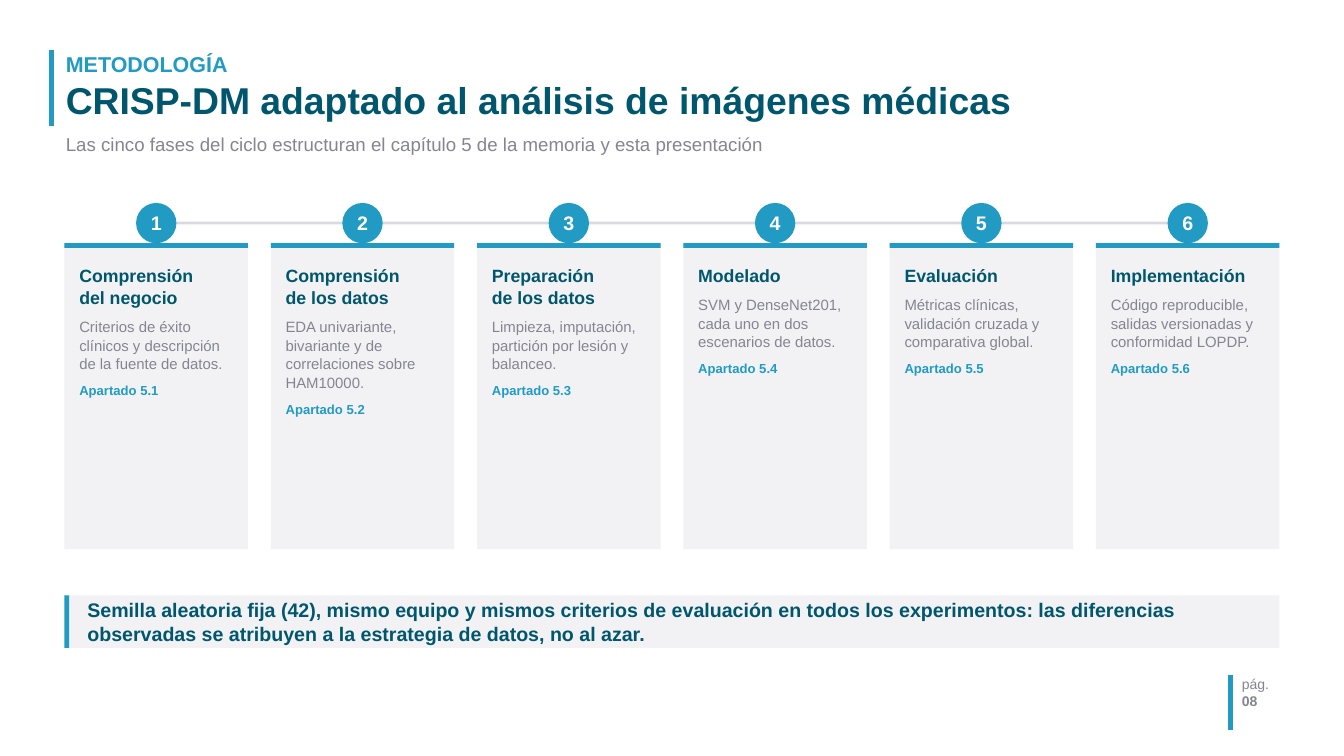
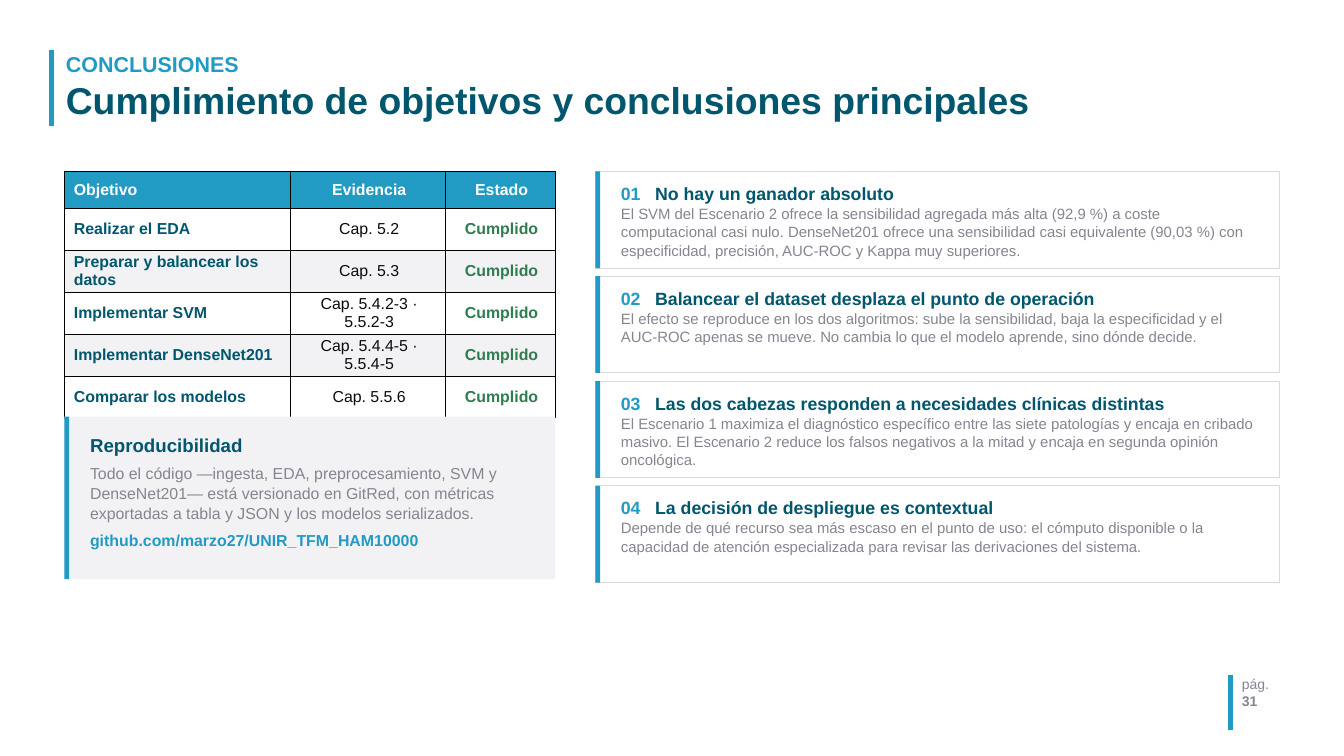
"""Build two thesis slides: the CRISP-DM phases and the conclusions."""
from lxml import etree
from pptx import Presentation
from pptx.dml.color import RGBColor
from pptx.enum.shapes import MSO_CONNECTOR, MSO_SHAPE
from pptx.enum.text import MSO_ANCHOR, MSO_AUTO_SIZE, PP_ALIGN
from pptx.oxml.ns import qn
from pptx.util import Inches, Pt

RECTANGLE, OVAL = MSO_SHAPE.RECTANGLE, MSO_SHAPE.OVAL
STRAIGHT = MSO_CONNECTOR.STRAIGHT
TOP, MIDDLE = MSO_ANCHOR.TOP, MSO_ANCHOR.MIDDLE
LEFT, CENTER = PP_ALIGN.LEFT, PP_ALIGN.CENTER
GROW = MSO_AUTO_SIZE.SHAPE_TO_FIT_TEXT

BLUE, TEAL, GRAY, PALE = "219BC3", "00566C", "858591", "F2F2F5"
RULE, WHITE, INK, GREEN, BLACK = "D9D9DE", "FFFFFF", "0C0B0B", "2E7D4F", "000000"
FONT = "Arial"
BAR = 0.07
MARGIN, CONTENT_WIDTH = 0.96, 18.08

PHASES = [
    ("Comprensión\ndel negocio",
     "Criterios de éxito clínicos y descripción de la fuente de datos."),
    ("Comprensión\nde los datos",
     "EDA univariante, bivariante y de correlaciones sobre HAM10000."),
    ("Preparación\nde los datos",
     "Limpieza, imputación, partición por lesión y balanceo."),
    ("Modelado", "SVM y DenseNet201, cada uno en dos escenarios de datos."),
    ("Evaluación", "Métricas clínicas, validación cruzada y comparativa global."),
    ("Implementación",
     "Código reproducible, salidas versionadas y conformidad LOPDP."),
]
SEED_NOTE = (
    "Semilla aleatoria fija (42), mismo equipo y mismos criterios de evaluación en "
    "todos los experimentos: las diferencias observadas se atribuyen a la estrategia "
    "de datos, no al azar.")
OBJECTIVES = [
    ("Objetivo", "Evidencia", "Estado"),
    ("Realizar el EDA", "Cap. 5.2", "Cumplido"),
    ("Preparar y balancear los datos", "Cap. 5.3", "Cumplido"),
    ("Implementar SVM", "Cap. 5.4.2-3 · 5.5.2-3", "Cumplido"),
    ("Implementar DenseNet201", "Cap. 5.4.4-5 · 5.5.4-5", "Cumplido"),
    ("Comparar los modelos", "Cap. 5.5.6", "Cumplido"),
]
REPRODUCIBILITY = (
    "Todo el código —ingesta, EDA, preprocesamiento, SVM y DenseNet201— está "
    "versionado en GitRed, con métricas exportadas a tabla y JSON y los modelos "
    "serializados.")
CONCLUSIONS = [
    ("No hay un ganador absoluto",
     "El SVM del Escenario 2 ofrece la sensibilidad agregada más alta (92,9 %) a coste "
     "computacional casi nulo. DenseNet201 ofrece una sensibilidad casi equivalente "
     "(90,03 %) con especificidad, precisión, AUC-ROC y Kappa muy superiores."),
    ("Balancear el dataset desplaza el punto de operación",
     "El efecto se reproduce en los dos algoritmos: sube la sensibilidad, baja la "
     "especificidad y el AUC-ROC apenas se mueve. No cambia lo que el modelo aprende, "
     "sino dónde decide."),
    ("Las dos cabezas responden a necesidades clínicas distintas",
     "El Escenario 1 maximiza el diagnóstico específico entre las siete patologías y "
     "encaja en cribado masivo. El Escenario 2 reduce los falsos negativos a la mitad y "
     "encaja en segunda opinión oncológica."),
    ("La decisión de despliegue es contextual",
     "Depende de qué recurso sea más escaso en el punto de uso: el cómputo disponible o "
     "la capacidad de atención especializada para revisar las derivaciones del sistema."),
]


def color(hex_value):
    """Turn a hex string into a colour."""
    return RGBColor.from_string(hex_value)


def set_all(target, values):
    """Set each attribute named in a dict."""
    for name, value in values.items():
        setattr(target, name, value)


def run(text, size, hex_value, bold=False):
    """Describe one run of text."""
    return text, hex_value, {"name": FONT, "size": Pt(size), "bold": bold}


def write(frame, paragraphs, tab=None, **layout):
    """Fill a text frame with lists of runs; the last paragraph has no space after."""
    space_after = layout.pop("space_after", None)
    for index, runs in enumerate(paragraphs):
        paragraph = frame.add_paragraph() if index else frame.paragraphs[0]
        if tab and index == 0:
            tabs = etree.SubElement(paragraph._p.get_or_add_pPr(), qn("a:tabLst"))
            etree.SubElement(tabs, qn("a:tab"), pos=str(Inches(tab)), algn="l")
        set_all(paragraph, layout)
        if space_after and index < len(paragraphs) - 1:
            paragraph.space_after = Pt(space_after)
        for text, hex_value, font_format in runs:
            for number, line in enumerate(text.split("\n")):
                if number:
                    paragraph.add_line_break()
                piece = paragraph.add_run()
                piece.text = line
                set_all(piece.font, font_format)
                piece.font.color.rgb = color(hex_value)


def add_text(slide, box, paragraphs, anchor=TOP, **layout):
    """Add a wrapping text box with narrow side insets."""
    frame = slide.shapes.add_textbox(*map(Inches, box)).text_frame
    set_all(frame, {"word_wrap": True, "auto_size": GROW, "vertical_anchor": anchor,
                    "margin_left": Inches(0.02), "margin_right": Inches(0.02),
                    "margin_top": 0, "margin_bottom": 0})
    write(frame, paragraphs, **layout)


def add_block(slide, box, fill, outline=None, kind=RECTANGLE):
    """Add a flat filled shape."""
    shape = slide.shapes.add_shape(kind, *map(Inches, box))
    shape.shadow.inherit = False
    shape.fill.solid()
    shape.fill.fore_color.rgb = color(fill)
    if outline:
        shape.line.color.rgb = color(outline)
        shape.line.width = Pt(1)
    else:
        shape.line.fill.background()
    return shape


def add_panel(slide, box, fill=PALE, outline=None):
    """Add a panel with a blue bar on its left edge."""
    left, top, _, height = box
    add_block(slide, box, fill, outline)
    add_block(slide, (left, top, BAR, height), BLUE)


def add_accent(slide, x, top, bottom):
    """Draw a thick vertical blue line."""
    line = slide.shapes.add_connector(STRAIGHT, *map(Inches, (x, top, x, bottom)))
    line.line.color.rgb = color(BLUE)
    line.line.width = Pt(5)
    etree.SubElement(line._element.spPr, qn("a:effectLst"))


def add_base_slide(presentation, section, title, page):
    """Add a slide with its heading and page number."""
    slide = presentation.slides.add_slide(presentation.slide_layouts[6])
    add_accent(slide, 18.31, 10.05, 10.86)
    add_accent(slide, 0.77, 0.75, 1.88)
    add_text(slide, (18.46, 10.06, 1.3, 0.8),
             [[run("pág.", 15, GRAY)], [run(page, 15, GRAY, True)]])
    add_text(slide, (MARGIN, 0.7, 17.2, 1.22),
             [[run(section, 23, BLUE, True)], [run(title, 40, TEAL, True)]],
             anchor=MIDDLE, line_spacing=0.92, space_after=5)
    return slide


def add_phase(slide, box, number, name, detail):
    """Add a phase card topped by its numbered circle."""
    left, top, width, height = box
    diameter, padding = 0.6, 0.2
    add_block(slide, box, PALE)
    add_block(slide, (left, top, width, BAR), BLUE)
    circle = add_block(slide, (left + (width - diameter) / 2, top - diameter,
                               diameter, diameter), BLUE, kind=OVAL)
    circle.text_frame.vertical_anchor = MIDDLE
    write(circle.text_frame, [[run(str(number), 21, WHITE, True)]], alignment=CENTER)
    add_text(slide, (left + padding, top + 0.3, width - 2 * padding, height - 0.6),
             [[run(name, 19, TEAL, True)], [run(detail, 16, GRAY)],
              [run(f"Apartado 5.{number}", 14, BLUE, True)]],
             line_spacing=1.04, space_after=10)


def add_timeline(slide, box):
    """Spread the phase cards evenly along a line."""
    left, top, width, height = box
    card_width = 2.73
    pitch = (width - card_width) / (len(PHASES) - 1)
    add_block(slide, (left + card_width / 2, top - 0.32, width - card_width, 0.04), RULE)
    for index, (name, detail) in enumerate(PHASES):
        add_phase(slide, (left + index * pitch, top, card_width, height),
                  index + 1, name, detail)


def add_seed_note(slide, box):
    """Add the banner on the fixed random seed."""
    left, top, width, height = box
    add_panel(slide, box)
    add_text(slide, (left + 0.32, top, width - 0.5, height),
             [[run(SEED_NOTE, 21, TEAL, True)]], anchor=MIDDLE)


def format_cell(cell, fill):
    """Set margins, borders and fill of a table cell."""
    set_all(cell, {"vertical_anchor": MIDDLE, "margin_left": Inches(0.14),
                   "margin_right": Inches(0.1), "margin_top": Inches(0.03),
                   "margin_bottom": Inches(0.03)})
    properties = cell._tc.get_or_add_tcPr()
    for side in ("a:lnL", "a:lnR", "a:lnT", "a:lnB"):
        border = etree.SubElement(properties, qn(side), w=str(Pt(1)))
        paint = etree.SubElement(border, qn("a:solidFill"))
        etree.SubElement(paint, qn("a:srgbClr"), val=BLACK)
    cell.fill.solid()
    cell.fill.fore_color.rgb = color(fill)


def add_objectives(slide, box):
    """Add the table of objectives."""
    columns = [(3.36, TEAL, True, LEFT), (2.31, INK, False, CENTER),
               (1.63, GREEN, True, CENTER)]
    table = slide.shapes.add_table(len(OBJECTIVES), len(columns),
                                   *map(Inches, box)).table
    for row, texts in enumerate(OBJECTIVES):
        table.rows[row].height = Inches(0.62 if row else 0.55)
        fill = (WHITE if row % 2 else PALE) if row else BLUE
        for index, (width, ink, bold, alignment) in enumerate(columns):
            table.columns[index].width = Inches(width)
            cell = table.cell(row, index)
            format_cell(cell, fill)
            text = run(texts[index], 17, ink, bold) if row else run(
                texts[index], 17, WHITE, True)
            write(cell.text_frame, [[text]], alignment=alignment)


def add_reproducibility(slide, box):
    """Add the panel on where the code is kept."""
    left, top, width, height = box
    add_panel(slide, box)
    add_text(slide, (left + 0.36, top + 0.24, width - 0.6, height - 0.47),
             [[run("Reproducibilidad", 20, TEAL, True)], [run(REPRODUCIBILITY, 17, GRAY)],
              [run("github.com/marzo27/UNIR_TFM_HAM10000", 17, BLUE, True)]],
             line_spacing=1.05, space_after=7)


def add_conclusions(slide, box):
    """Stack the numbered conclusions with equal gaps."""
    left, top, width, height = box
    gap = 0.12
    card_height = (height + gap) / len(CONCLUSIONS) - gap
    for index, (name, detail) in enumerate(CONCLUSIONS):
        y = top + index * (card_height + gap)
        add_panel(slide, (left, y, width, card_height), WHITE, RULE)
        add_text(slide, (left + 0.36, y + 0.16, width - 0.65, card_height - 0.28),
                 [[run(f"{index + 1:02}\t", 19, BLUE, True), run(name, 19, TEAL, True)],
                  [run(detail, 16, GRAY)]], tab=0.51, line_spacing=1.03)


def add_methodology_slide(presentation):
    """Build the slide on the phases of the method."""
    slide = add_base_slide(presentation, "METODOLOGÍA",
                           "CRISP-DM adaptado al análisis de imágenes médicas", "08")
    add_text(slide, (MARGIN, 1.98, 17.2, 0.42),
             [[run("Las cinco fases del ciclo estructuran el capítulo 5 de la memoria "
                   "y esta presentación", 20, GRAY)]])
    add_timeline(slide, (MARGIN, 3.62, CONTENT_WIDTH, 4.55))
    add_seed_note(slide, (MARGIN, 8.86, CONTENT_WIDTH, 0.78))


def add_conclusions_slide(presentation):
    """Build the slide on objectives and conclusions."""
    slide = add_base_slide(presentation, "CONCLUSIONES",
                           "Cumplimiento de objetivos y conclusiones principales", "31")
    add_objectives(slide, (MARGIN, 2.55, 7.3, 3.65))
    add_reproducibility(slide, (MARGIN, 6.2, 7.3, 2.42))
    add_conclusions(slide, (8.86, 2.55, 10.18, 6.12))


def main():
    """Build and save the presentation."""
    presentation = Presentation()
    presentation.slide_width, presentation.slide_height = Inches(20), Inches(11.25)
    add_methodology_slide(presentation)
    add_conclusions_slide(presentation)
    presentation.save("out.pptx")


if __name__ == "__main__":
    main()
